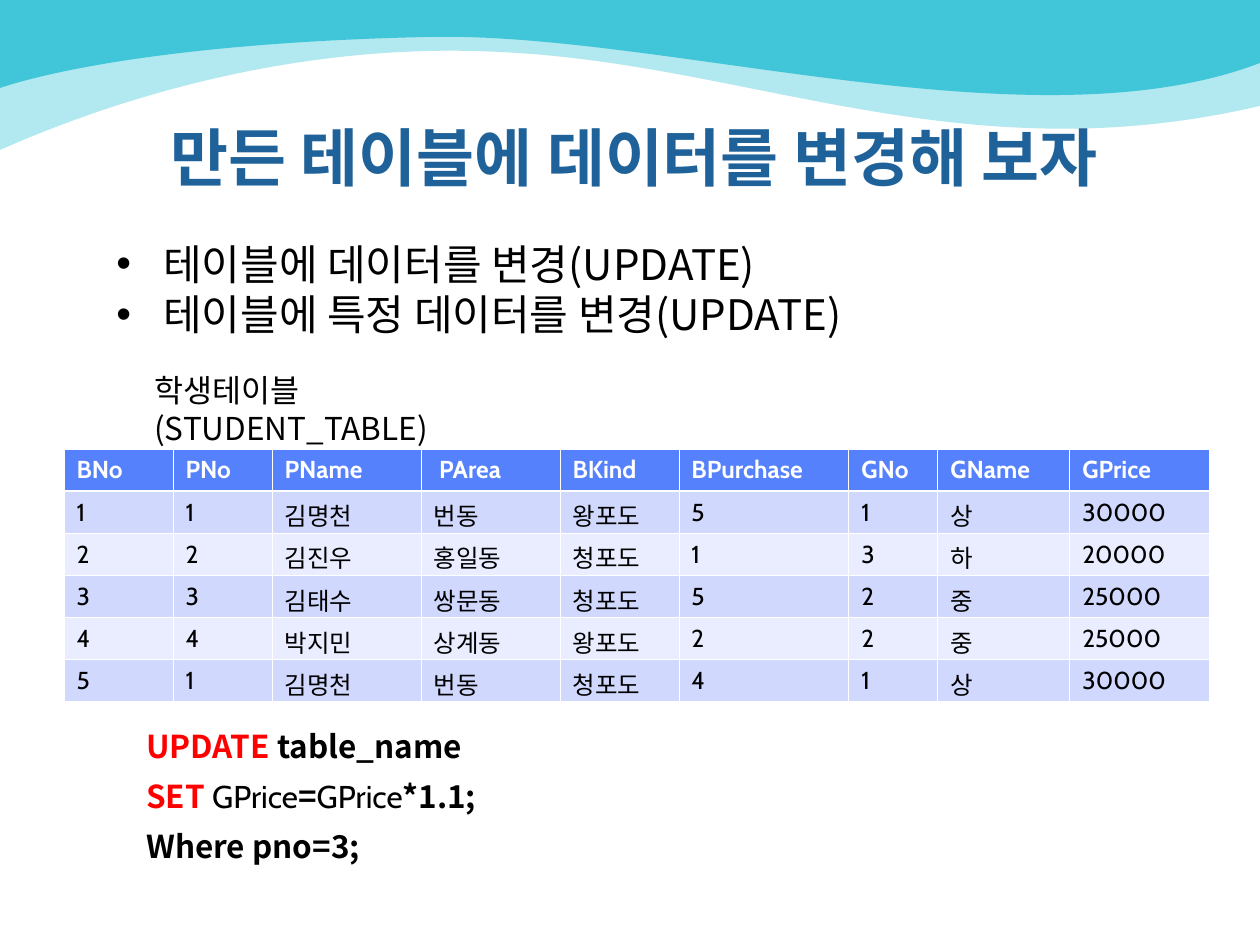
import pptx
import pptx.util
import pptx.dml.color
import pptx.enum.text
import pptx.oxml.ns
import lxml.etree

SCALE = 914400 / 126
ALIGN = pptx.enum.text.PP_ALIGN
ANCHOR = pptx.enum.text.MSO_ANCHOR
CABIN = "Cabin"
NOTO = "Noto Sans CJK KR"
COLORS = {
    "wave": "40C6D8", "title": "1F6299", "text": "000000", "keyword": "FF0000",
    "header": "5581FD", "odd": "D1D8FE", "even": "E9EDFF", "white": "FFFFFF",
}
PALE_WAVE = [(0, 150), (42, 132), (248, 39), (499, 52), (750, 63), (960, 176), (1260, 106)]
DEEP_WAVE = [(0, 88), (57, 69), (193, 42), (430, 37), (667, 32), (1033, 150), (1260, 63)]
COLUMN_WIDTHS = [109, 99, 149, 139, 119, 170, 89, 132, 140]
ROW_HEIGHT = 42
ROWS = [
    ["BNo", "PNo", "PName", " PArea", "BKind", "BPurchase", "GNo", "GName", "GPrice"],
    ["1", "1", "김명천", "번동", "왕포도", "5", "1", "상", "30000"],
    ["2", "2", "김진우", "홍일동", "청포도", "1", "3", "하", "20000"],
    ["3", "3", "김태수", "쌍문동", "청포도", "5", "2", "중", "25000"],
    ["4", "4", "박지민", "상계동", "왕포도", "2", "2", "중", "25000"],
    ["5", "1", "김명천", "번동", "청포도", "4", "1", "상", "30000"],
]


def px(length):
    return pptx.util.Emu(round(length * SCALE))


def rgb(name):
    return pptx.dml.color.RGBColor.from_string(COLORS[name])


def add_child(parent, tag, **attributes):
    return lxml.etree.SubElement(parent, pptx.oxml.ns.qn(tag), **attributes)


def add_span(para, text, size, color="text", font=NOTO, bold=False):
    span = para.add_run()
    span.text = text
    span.font.size = pptx.util.Pt(size)
    span.font.bold = bold
    span.font.color.rgb = rgb(color)
    span.font.name = font
    if font == NOTO:
        add_child(span.font._element, "a:ea", typeface=font)


def bend_segments(wave, count):
    lines = list(wave._element.iter(pptx.oxml.ns.qn("a:lnTo")))[1:count + 1]
    for start in range(0, count, 3):
        group = lines[start:start + 3]
        curve = lxml.etree.Element(pptx.oxml.ns.qn("a:cubicBezTo"))
        group[0].addprevious(curve)
        for line in group:
            curve.append(line[0])
            line.getparent().remove(line)


def add_wave(page, knots, opacity=100):
    builder = page.shapes.build_freeform(0, 0)
    points = [(px(x), px(y)) for x, y in [*knots, (1260, 0)]]
    builder.add_line_segments(points, close=True)
    wave = builder.convert_to_shape()
    bend_segments(wave, len(knots) - 1)
    wave.shadow.inherit = False
    wave.line.fill.background()
    wave.fill.solid()
    wave.fill.fore_color.rgb = rgb("wave")
    if opacity < 100:
        color = wave._element.spPr.find(".//" + pptx.oxml.ns.qn("a:srgbClr"))
        add_child(color, "a:alpha", val=str(opacity * 1000))


def set_title(page, text):
    title = page.shapes.title
    page.shapes._spTree.append(title._element)
    title.left, title.top, title.width, title.height = px(67), px(112), px(1134), px(158)
    title.text_frame.vertical_anchor = ANCHOR.TOP
    para = title.text_frame.paragraphs[0]
    para.alignment = ALIGN.CENTER
    add_span(para, text, 36, "title", CABIN, True)


def add_bullet(para):
    properties = para._p.get_or_add_pPr()
    properties.set("marL", str(px(47)))
    properties.set("indent", str(-px(47)))
    add_child(properties, "a:buFont", typeface="Arial")
    add_child(properties, "a:buChar", char="•")


def add_text(page, left, top, width, height, lines, bullets=False, align=ALIGN.LEFT, gap=0):
    box = page.shapes.add_textbox(px(left), px(top), px(width), px(height))
    frame = box.text_frame
    frame.word_wrap = True
    for index, spans in enumerate(lines):
        para = frame.add_paragraph() if index else frame.paragraphs[0]
        para.alignment = align
        if index and gap:
            para.space_before = pptx.util.Pt(gap)
        if bullets:
            add_bullet(para)
        for span in spans:
            add_span(para, *span)


def set_border(cell, side, width):
    line = add_child(cell._tc.get_or_add_tcPr(), "a:ln" + side, w=str(pptx.util.Pt(width)))
    fill = add_child(line, "a:solidFill")
    add_child(fill, "a:srgbClr", val=COLORS["white"])


def fill_cell(cell, text, row):
    for side in "LRTB":
        heavy = (row, side) in ((0, "B"), (1, "T"))
        set_border(cell, side, 1.47 if heavy else 0.45)
    cell.fill.solid()
    cell.fill.fore_color.rgb = rgb("header" if row == 0 else "odd" if row % 2 else "even")
    color = "white" if row == 0 else "text"
    add_span(cell.text_frame.paragraphs[0], text, 14, color, CABIN, row == 0)


def add_grid(page, left, top):
    frame = page.shapes.add_table(
        len(ROWS), len(COLUMN_WIDTHS), px(left), px(top),
        px(sum(COLUMN_WIDTHS)), px(ROW_HEIGHT * len(ROWS)))
    table = frame.table
    for column, width in zip(table.columns, COLUMN_WIDTHS):
        column.width = px(width)
    for row, values in enumerate(ROWS):
        table.rows[row].height = px(ROW_HEIGHT)
        for column, text in enumerate(values):
            fill_cell(table.cell(row, column), text, row)


def main():
    deck = pptx.Presentation()
    deck.slide_width, deck.slide_height = px(1260), px(945)
    page = deck.slides.add_slide(deck.slide_layouts[5])
    add_wave(page, PALE_WAVE, 40)
    add_wave(page, DEEP_WAVE)
    set_title(page, "만든 테이블에 데이터를 변경해 보자")
    add_text(page, 104, 232, 993, 113, [
        [("테이블에 데이터를 변경(UPDATE)", 24)],
        [("테이블에 특정 데이터를 변경(UPDATE)", 24)],
    ], bullets=True)
    add_text(page, 142, 365, 442, 50, [[("학생테이블(STUDENT_TABLE)", 18)]])
    add_text(page, 134, 721, 630, 150, [
        [("UPDATE ", 18, "keyword", NOTO, True), ("table_name ", 18, "text", NOTO, True)],
        [("SET ", 18, "keyword", NOTO, True), ("GPrice", 18, "text", CABIN),
         ("=", 18, "text", NOTO, True), ("GPrice", 18, "text", CABIN),
         ("*1.1; ", 18, "text", NOTO, True)],
        [("Where pno=3;", 18, "text", NOTO, True)],
    ], align=ALIGN.JUSTIFY, gap=6.8)
    add_grid(page, 64, 449)
    deck.save("out.pptx")


if __name__ == "__main__":
    main()
